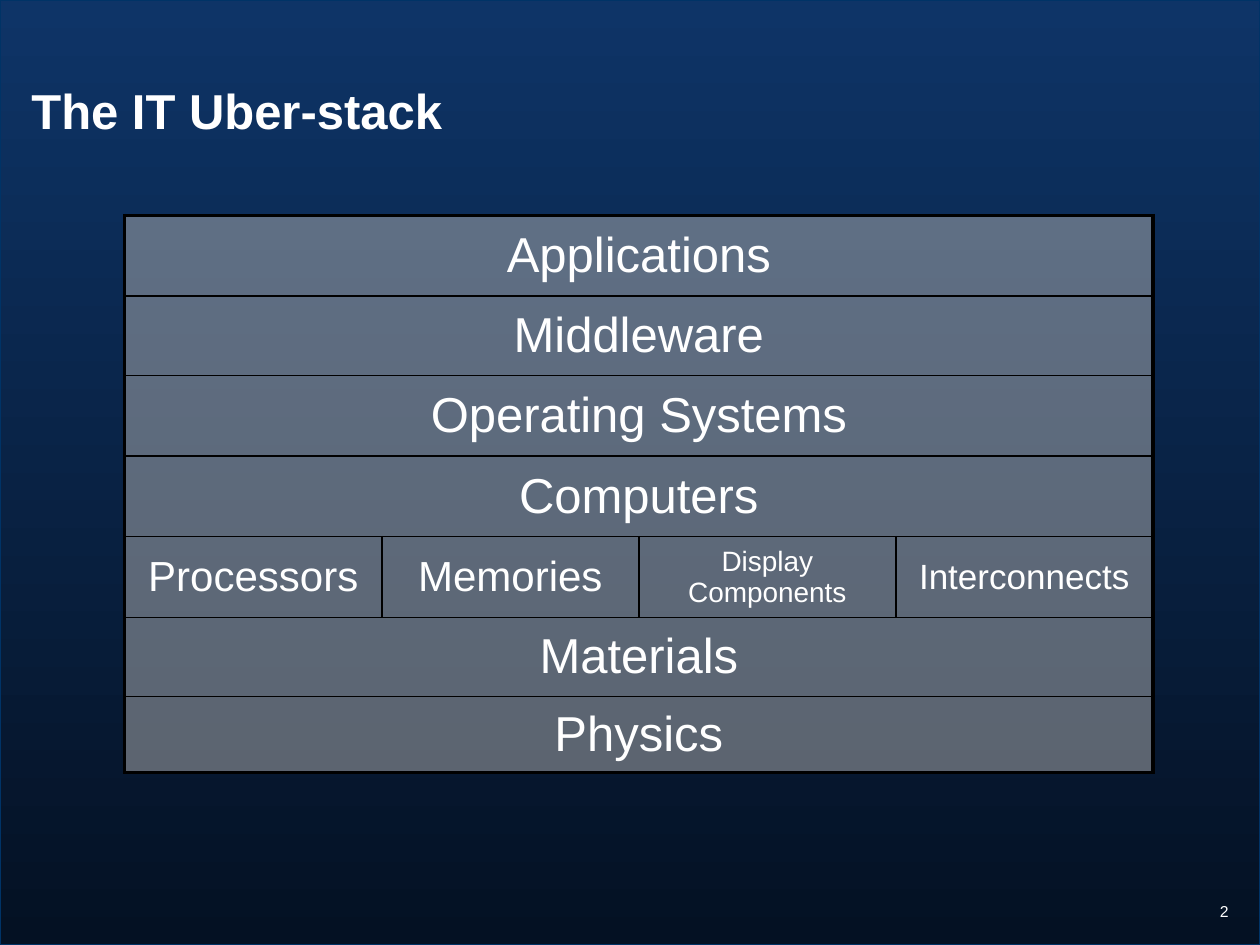
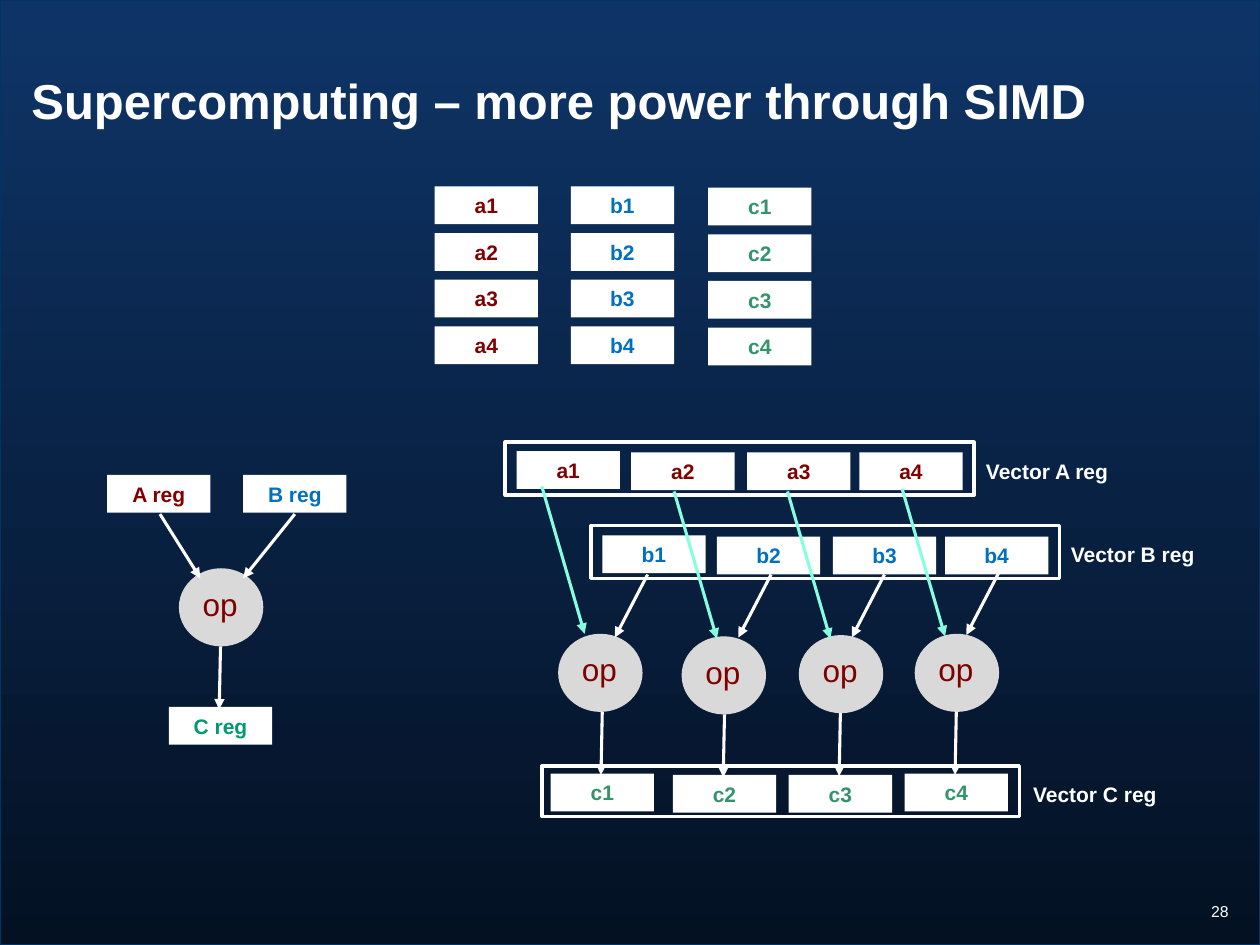
import pptx
import pptx.dml.color
import pptx.enum.dml
import pptx.enum.shapes
import pptx.enum.text
import pptx.oxml
import pptx.oxml.ns
import pptx.util
from dataclasses import dataclass

Inches = pptx.util.Inches
Pt = pptx.util.Pt
RGBColor = pptx.dml.color.RGBColor
SHAPE = pptx.enum.shapes.MSO_SHAPE
ALIGN = pptx.enum.text.PP_ALIGN
ANCHOR = pptx.enum.text.MSO_ANCHOR

# Colours
BG_TOP = RGBColor(0x0E, 0x34, 0x67)
BG_BOTTOM = RGBColor(0x04, 0x11, 0x23)
EDGE = RGBColor(0x00, 0x33, 0x66)
WHITE = RGBColor(0xFF, 0xFF, 0xFF)
BLACK = RGBColor(0x00, 0x00, 0x00)
CELL_GREY = RGBColor(0xB2, 0xB2, 0xB2)
OP_GREY = RGBColor(0xD9, 0xD9, 0xD9)
MAROON = RGBColor(0x80, 0x00, 0x00)
BLUE = RGBColor(0x00, 0x70, 0xC0)
GREEN = RGBColor(0x32, 0x94, 0x6A)
C_REG_GREEN = RGBColor(0x00, 0x99, 0x73)
AQUA = RGBColor(0x85, 0xFF, 0xE0)

# Text formats
TITLE = dict(size=Pt(28), bold=True)
PAGE = dict(size=Pt(9), bold=False)
CHIP = dict(size=Pt(12), bold=True)
OP = dict(size=Pt(18), bold=False)

CHIP_W, CHIP_H = 0.82, 0.3
OP_W, OP_H = 0.67, 0.62


@dataclass
class Lane:
    """One SIMD lane: positions of its chips, operator and arrow starts."""
    a_x: float
    c_x: float
    chip_dy: float
    c_dy: float
    op_x: float
    op_y: float
    a_arrow: tuple[float, float]
    b_arrow: tuple[float, float]


@dataclass
class VectorFrame:
    name: str
    x: float
    y: float
    w: float
    h: float
    label_x: float


LANES = [
    Lane(4.10, 4.37, 0.00, 0.00, 4.43, 5.03, (4.30, 3.86), (5.14, 4.56)),
    Lane(5.01, 5.34, 0.01, 0.01, 5.41, 5.05, (5.35, 3.90), (6.12, 4.56)),
    Lane(5.93, 6.26, 0.01, 0.01, 6.34, 5.04, (6.25, 3.90), (7.02, 4.56)),
    Lane(6.82, 7.18, 0.01, 0.00, 7.26, 5.03, (7.16, 3.88), (7.93, 4.54)),
]
FRAMES = [
    VectorFrame("A", 4.01, 3.51, 3.72, 0.42, 7.71),
    VectorFrame("B", 4.69, 4.17, 3.72, 0.42, 8.39),
    VectorFrame("C", 4.30, 6.08, 3.79, 0.40, 8.09),
]

# Stack layers from top to bottom: height, then (text, size) for each part
LAYERS = [
    (0.64, [("Applications", 28)]),
    (0.63, [("Middleware", 28)]),
    (0.64, [("Operating Systems", 28)]),
    (0.64, [("Computers", 28)]),
    (0.64, [("Processors", 24), ("Memories", 24),
            ("Display Components", 16), ("Interconnects", 20)]),
    (0.63, [("Materials", 28)]),
    (0.60, [("Physics", 28)]),
]


def write(tf, text: str, fmt: dict, color: RGBColor, align=ALIGN.LEFT) -> None:
    p = tf.paragraphs[0]
    p.alignment = align
    r = p.add_run()
    r.text = text
    for key, value in dict(fmt, name="Arial").items():
        setattr(r.font, key, value)
    r.font.color.rgb = color


def add_text(s, x: float, y: float, w: float, h: float, text: str, fmt: dict,
             color: RGBColor = WHITE, align=ALIGN.LEFT, anchor=ANCHOR.TOP,
             inset: tuple[float, float] = (0.1, 0.05)) -> None:
    tf = s.shapes.add_textbox(Inches(x), Inches(y), Inches(w), Inches(h)).text_frame
    frame = dict(word_wrap=True, vertical_anchor=anchor,
                 margin_left=Inches(inset[0]), margin_right=Inches(inset[0]),
                 margin_top=Inches(inset[1]), margin_bottom=Inches(inset[1]))
    for key, value in frame.items():
        setattr(tf, key, value)
    write(tf, text, fmt, color, align)


def add_box(s, kind, x: float, y: float, w: float, h: float,
            fill: RGBColor | None = None, line: RGBColor | None = None,
            width: float = 0):
    sp = s.shapes.add_shape(kind, Inches(x), Inches(y), Inches(w), Inches(h))
    sp.shadow.inherit = False
    if fill is None:
        sp.fill.background()
    else:
        sp.fill.solid()
        sp.fill.fore_color.rgb = fill
    if line is None:
        sp.line.fill.background()
    else:
        sp.line.color.rgb = line
        sp.line.width = Pt(width)
    return sp


def add_chip(s, x: float, y: float, text: str, color: RGBColor) -> None:
    sp = add_box(s, SHAPE.RECTANGLE, x, y, CHIP_W, CHIP_H, WHITE)
    sp.text_frame.vertical_anchor = ANCHOR.MIDDLE
    write(sp.text_frame, text, CHIP, color, ALIGN.CENTER)


def add_op(s, x: float, y: float) -> None:
    add_box(s, SHAPE.OVAL, x, y, OP_W, OP_H, OP_GREY)
    add_text(s, x + 0.09, y + 0.08, 0.83, 0.4, "op", OP, MAROON)


def add_arrow(s, start: tuple[float, float], dx: float, dy: float,
              color: RGBColor = WHITE) -> None:
    x, y = start
    cn = s.shapes.add_connector(pptx.enum.shapes.MSO_CONNECTOR.STRAIGHT,
                                Inches(x), Inches(y), Inches(x + dx), Inches(y + dy))
    cn.line.color.rgb = color
    cn.line.width = Pt(1.75)
    ns = pptx.oxml.ns.nsdecls("a")
    cn.line._get_or_add_ln().append(
        pptx.oxml.parse_xml(f'<a:tailEnd {ns} type="triangle"/>'))
    cn._element.spPr.append(pptx.oxml.parse_xml(f"<a:effectLst {ns}/>"))


def style_cell(cell, borders: dict[str, float]) -> None:
    """Set border widths in points, then a half transparent grey fill."""
    ns = pptx.oxml.ns.nsdecls("a")
    tc_pr = cell._tc.get_or_add_tcPr()
    for side, width in borders.items():
        tc_pr.append(pptx.oxml.parse_xml(
            f'<a:ln{side} {ns} w="{Pt(width)}"><a:solidFill>'
            f'<a:srgbClr val="{BLACK}"/></a:solidFill></a:ln{side}>'))
    cell.fill.solid()
    cell.fill.fore_color.rgb = CELL_GREY
    clr = tc_pr.find(".//" + pptx.oxml.ns.qn("a:solidFill") + "[last()]/..")
    clr = tc_pr.find(pptx.oxml.ns.qn("a:solidFill"))[0]
    clr.append(pptx.oxml.parse_xml(f'<a:alpha {ns} val="50000"/>'))


def add_base(prs, title: str, title_y: float, page: str):
    """Blank slide with the shared background, edge, page number and title."""
    s = prs.slides.add_slide(prs.slide_layouts[6])
    fill = s.background.fill
    fill.gradient()
    fill.gradient_angle = 270
    for stop, color, pos in zip(fill.gradient_stops, (BG_TOP, BG_BOTTOM), (0, 1)):
        stop.color.rgb = color
        stop.position = pos
    add_box(s, SHAPE.RECTANGLE, 0, 0, 10, 7.5, line=EDGE, width=0.5)
    add_text(s, 8.75, 7.16, 1.1, 0.34, page, PAGE, align=ALIGN.RIGHT, inset=(0.1, 0))
    add_text(s, 0.25, title_y, 9.5, 0.58, title, TITLE,
             anchor=ANCHOR.MIDDLE, inset=(0, 0.05))
    return s


def build_stack(prs) -> None:
    s = add_base(prs, "The IT Uber-stack", 0.58, "2")
    cols, last = 4, len(LAYERS) - 1
    table = s.shapes.add_table(len(LAYERS), cols, Inches(0.99), Inches(1.71),
                               Inches(8.17), Inches(4.42)).table
    table.first_row = table.horz_banding = False
    for col in table.columns:
        col.width = Inches(2.04)
    for i, (height, parts) in enumerate(LAYERS):
        table.rows[i].height = Inches(height)
        merged = len(parts) == 1
        for j in range(cols):
            style_cell(table.cell(i, j), {
                "L": 2.25 if merged or j == 0 else 1,
                "R": 2.25 if merged or j == cols - 1 else 1,
                "T": 2.25 if i == 0 else 1,
                "B": 2.25 if i == last else 1,
            })
        if merged:
            table.cell(i, 0).merge(table.cell(i, cols - 1))
        for j, (text, size) in enumerate(parts):
            cell = table.cell(i, j)
            cell.margin_left = cell.margin_right = 0
            cell.vertical_anchor = ANCHOR.MIDDLE
            write(cell.text_frame, text, dict(size=Pt(size)), WHITE, ALIGN.CENTER)


def build_simd(prs) -> None:
    s = add_base(prs, "Supercomputing – more power through SIMD", 0.5, "28")

    # Operands and results in memory
    for x, y, name, color in ((3.45, 1.48, "a", MAROON), (4.53, 1.48, "b", BLUE),
                              (5.62, 1.49, "c", GREEN)):
        for i in range(4):
            add_chip(s, x, y + 0.37 * i, f"{name}{i + 1}", color)

    # Scalar operation
    add_chip(s, 0.85, 3.77, "A reg", MAROON)
    add_chip(s, 1.93, 3.77, "B reg", BLUE)
    add_op(s, 1.42, 4.51)
    add_chip(s, 1.34, 5.61, "C reg", C_REG_GREEN)
    add_arrow(s, (2.34, 4.08), -0.41, 0.51)
    add_arrow(s, (1.27, 4.08), 0.32, 0.51)
    add_arrow(s, (1.75, 5.13), -0.01, 0.5)

    # Vector registers
    for i, lane in enumerate(LANES, 1):
        add_chip(s, lane.a_x, 3.58 + lane.chip_dy, f"a{i}", MAROON)
        add_chip(s, lane.a_x + 0.68, 4.25 + lane.chip_dy, f"b{i}", BLUE)
        add_chip(s, lane.c_x, 6.14 + lane.c_dy, f"c{i}", GREEN)
    for f in FRAMES:
        add_box(s, SHAPE.RECTANGLE, f.x, f.y, f.w, f.h, line=WHITE, width=2)
        add_text(s, f.label_x, f.y + (f.h - CHIP_H) / 2 + 0.02, 1.2, CHIP_H,
                 f"Vector {f.name} reg", CHIP, align=ALIGN.CENTER, inset=(0, 0.05))

    # Vector operation, lane by lane
    for lane in LANES:
        add_op(s, lane.op_x, lane.op_y)
        add_arrow(s, lane.a_arrow, 0.34, 1.17, AQUA)
        add_arrow(s, lane.b_arrow, -0.26, 0.5)
        add_arrow(s, (lane.c_x + CHIP_W / 2, lane.op_y + OP_H), -0.01, 0.5)


def main() -> None:
    prs = pptx.Presentation()
    prs.slide_width, prs.slide_height = Inches(10), Inches(7.5)
    build_stack(prs)
    build_simd(prs)
    prs.save("out.pptx")


if __name__ == "__main__":
    main()
